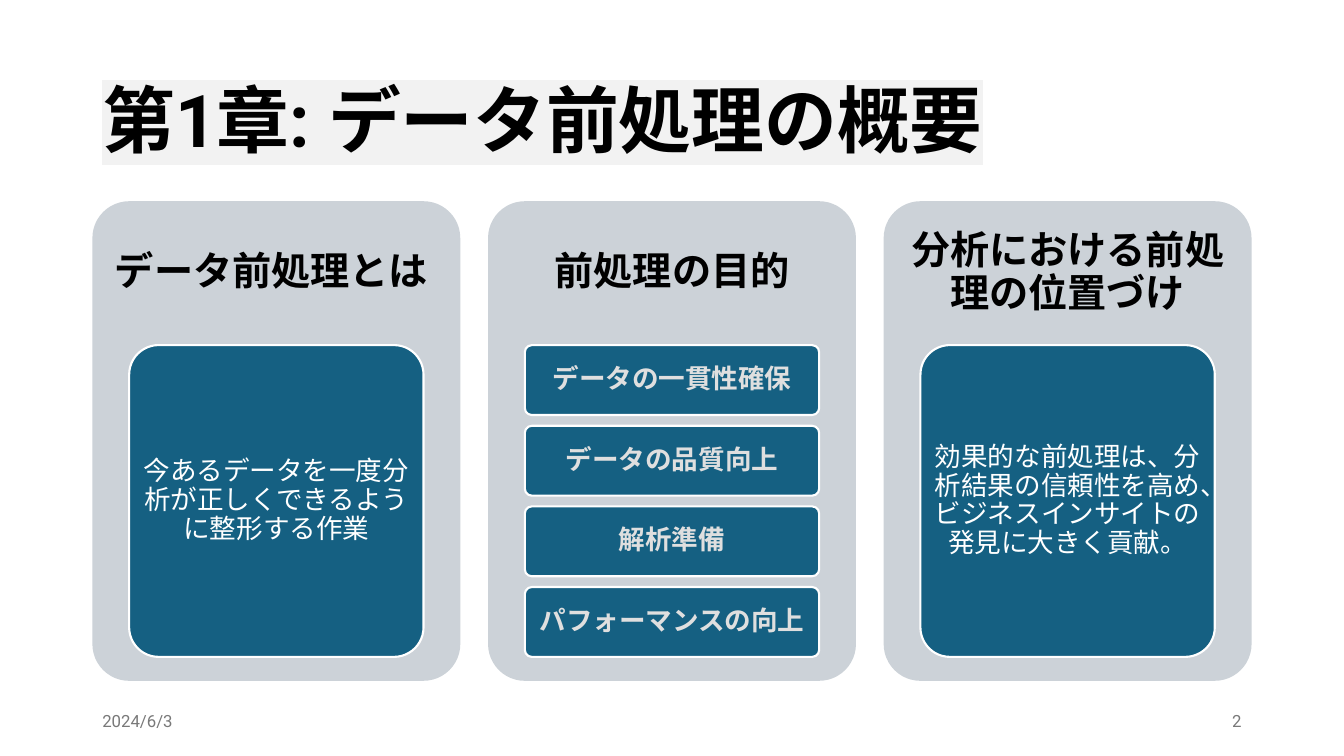
from pptx import Presentation
from pptx.dml.color import RGBColor
from pptx.enum.shapes import MSO_SHAPE
from pptx.enum.text import MSO_ANCHOR, PP_ALIGN
from pptx.oxml.ns import qn
from pptx.util import Pt
from lxml.etree import SubElement

FONT = "Roboto"
MARGIN = 66
CONTENT_WIDTH = 828

CARDS = [
    ("データ前処理とは ", ["今あるデータを一度分析が正しくできるように整形する作業"]),
    ("前処理の目的", ["データの一貫性確保", "データの品質向上", "解析準備", "パフォーマンスの向上"]),
    ("分析における前処理の位置づけ",
     ["効果的な前処理は、分析結果の信頼性を高め、ビジネスインサイトの発見に大きく貢献。"]),
]


def rgb(color):
    return RGBColor.from_string(color)


def write(shape, text, size, color, bold=False, align=PP_ALIGN.LEFT,
          spacing=1.0, inset=(7.2, 3.6)):
    frame = shape.text_frame
    frame.word_wrap = True
    frame.vertical_anchor = MSO_ANCHOR.MIDDLE
    frame.margin_left = frame.margin_right = Pt(inset[0])
    frame.margin_top = frame.margin_bottom = Pt(inset[1])
    frame.text = text
    paragraph = frame.paragraphs[0]
    paragraph.alignment = align
    paragraph.line_spacing = spacing
    run = paragraph.runs[0]
    run.font.size = Pt(size)
    run.font.bold = bold
    run.font.color.rgb = rgb(color)
    run.font.name = FONT
    # East Asian typeface
    SubElement(run.font._element, qn("a:ea"), typeface=FONT)
    return run


def add_label(slide, box, text, size, color, **style):
    label = slide.shapes.add_textbox(*map(Pt, box))
    return write(label, text, size, color, **style)


def add_panel(slide, box, fill):
    panel = slide.shapes.add_shape(MSO_SHAPE.ROUNDED_RECTANGLE, *map(Pt, box))
    panel.adjustments[0] = 0.1
    panel.shadow.inherit = False
    panel.fill.solid()
    panel.fill.fore_color.rgb = rgb(fill)
    panel.line.fill.background()
    return panel


def add_title(slide, box, text):
    run = add_label(slide, box, text, 52, "000000", bold=True, spacing=0.9)
    # Highlight goes between the text fill and the typeface
    properties = run.font._element
    highlight = SubElement(properties, qn("a:highlight"))
    SubElement(highlight, qn("a:srgbClr"), val="F2F2F2")
    properties.find(qn("a:latin")).addprevious(highlight)


def add_tile(slide, box, text, color, bold):
    tile = add_panel(slide, box, "156082")
    tile.line.color.rgb = rgb("FFFFFF")
    tile.line.width = Pt(1.5)
    write(tile, text, 19, color, bold=bold, align=PP_ALIGN.CENTER,
          spacing=0.9, inset=(3.6, 2.7))


def add_card(slide, box, heading, points):
    left, top, width, height = box
    add_panel(slide, box, "CCD2D8")
    add_label(slide, (left, top, width, 0.3 * height), heading, 28, "000000",
              bold=True, align=PP_ALIGN.CENTER, spacing=0.9, inset=(8.4, 8.4))

    # Tiles share 65% of the card height, with gaps of 2/13 of a tile
    gap_ratio = 2 / 13
    count = len(points)
    tile_height = 0.65 * height / (count + (count - 1) * gap_ratio)
    is_list = count > 1
    for index, point in enumerate(points):
        tile_top = top + 0.3 * height + index * tile_height * (1 + gap_ratio)
        add_tile(slide, (left + 0.1 * width, tile_top, 0.8 * width, tile_height),
                 point, "DFDFDF" if is_list else "FFFFFF", is_list)


def add_cards(slide, box):
    left, top, width, height = box
    gap = 19.8
    card_width = (width - gap * (len(CARDS) - 1)) / len(CARDS)
    for index, (heading, points) in enumerate(CARDS):
        card_left = left + index * (card_width + gap)
        add_card(slide, (card_left, top, card_width, height), heading, points)


def add_footer(slide, box, date, number):
    left, top, width, height = box
    part = 216
    add_label(slide, (left, top, part, height), date, 12, "797979")
    add_label(slide, (left + width - part, top, part, height), number, 12,
              "797979", align=PP_ALIGN.RIGHT)


def main():
    presentation = Presentation()
    presentation.slide_width = Pt(960)
    presentation.slide_height = Pt(540)
    slide = presentation.slides.add_slide(presentation.slide_layouts[6])
    add_title(slide, (MARGIN, 44, CONTENT_WIDTH, 89), "第1章: データ前処理の概要")
    add_cards(slide, (MARGIN, 143.75, CONTENT_WIDTH, 342.6))
    add_footer(slide, (MARGIN, 500.5, CONTENT_WIDTH, 28.75), "2024/6/3", "2")
    presentation.save("out.pptx")


if __name__ == "__main__":
    main()
